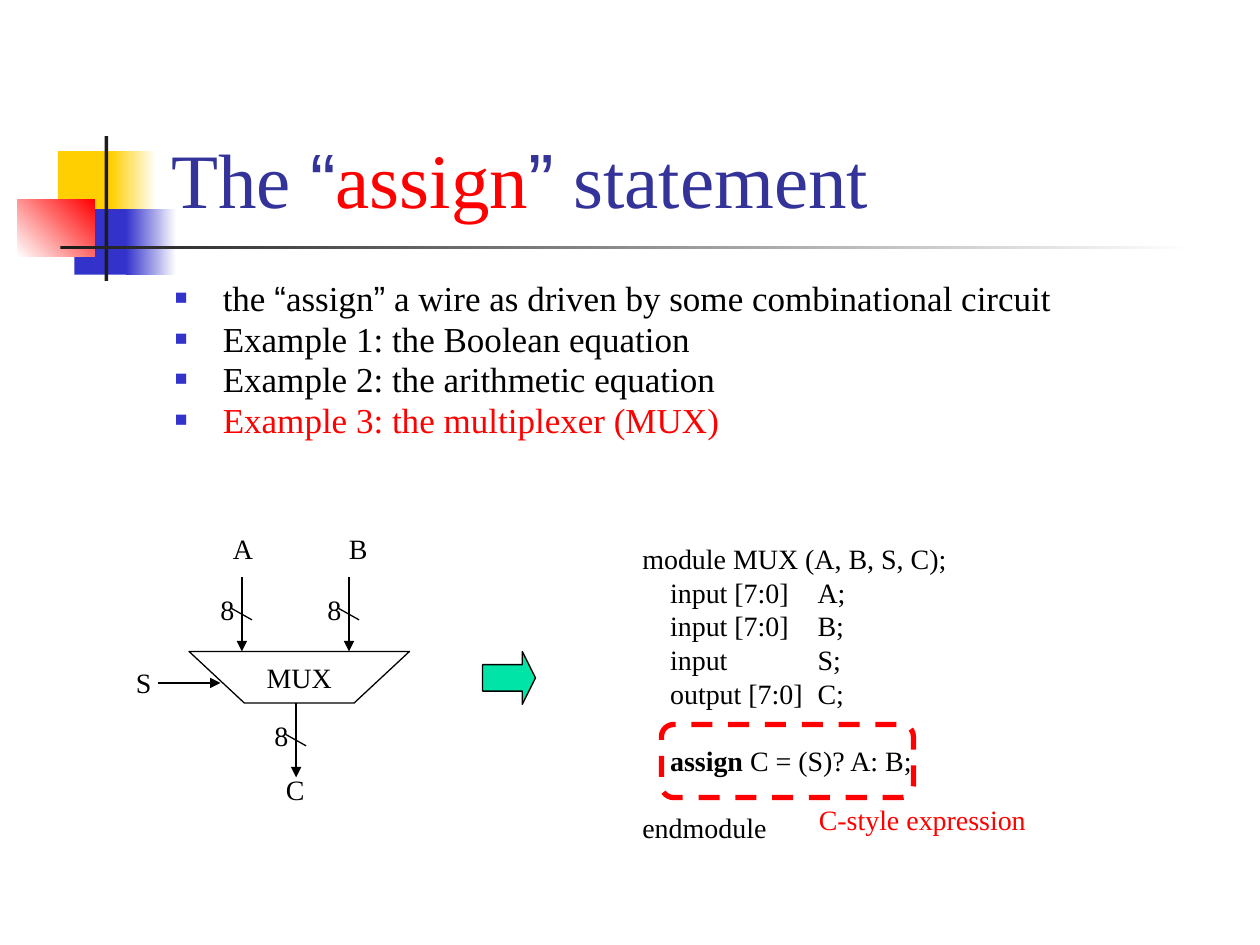
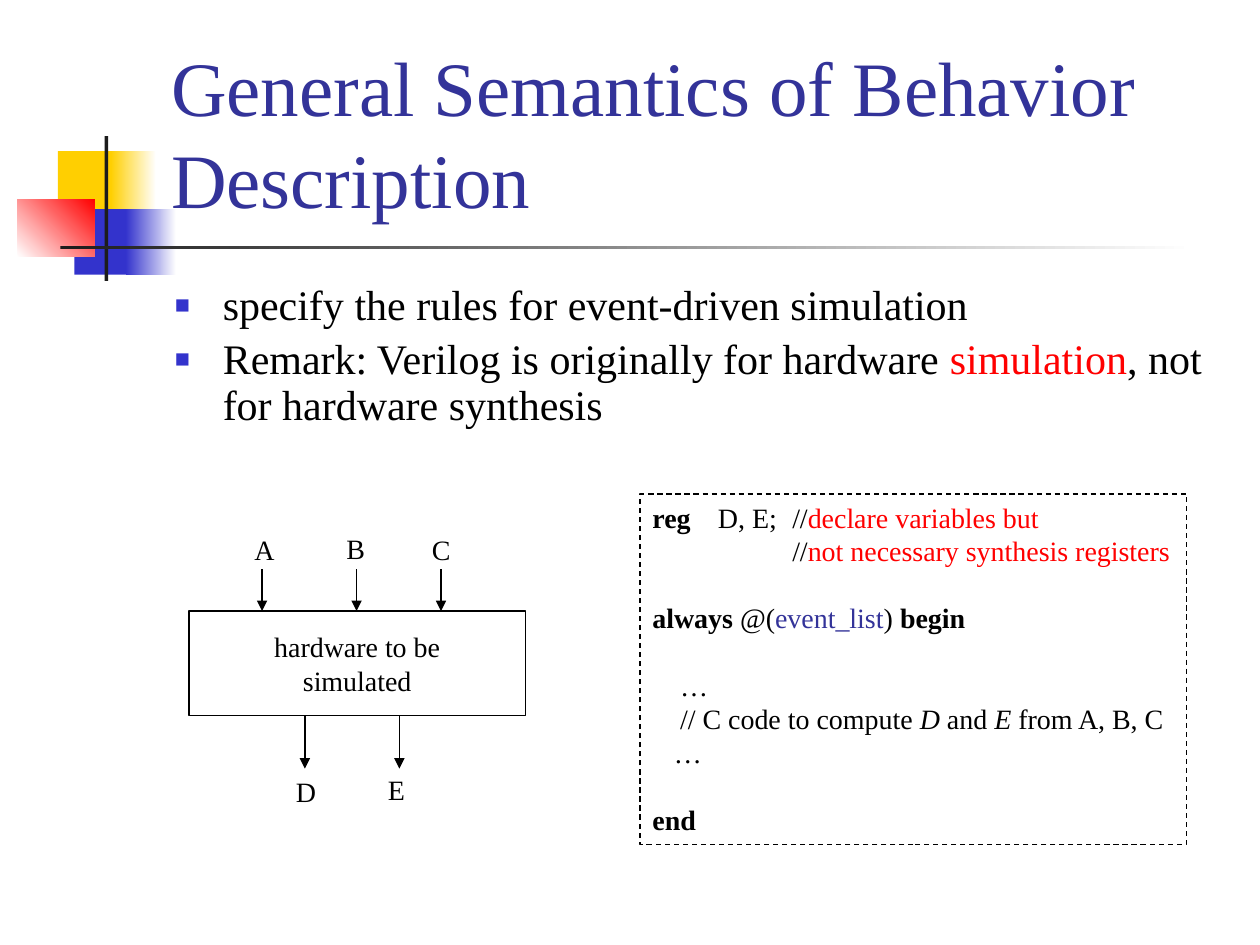
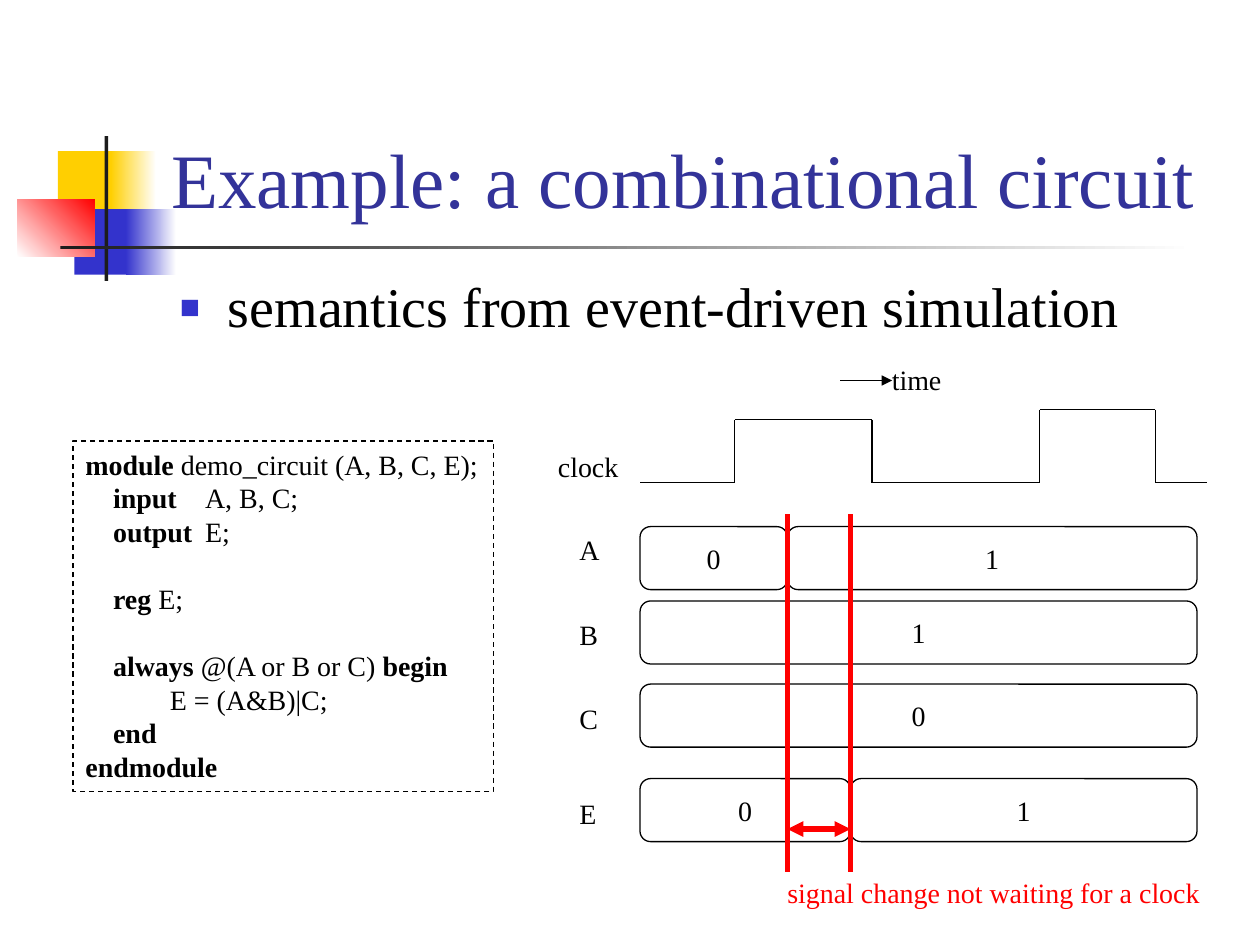
from dataclasses import dataclass
from typing import Optional, Sequence, Union

from lxml import etree
from pptx import Presentation
from pptx.dml.color import RGBColor
from pptx.enum import dml, shapes, text
from pptx.oxml.ns import qn
from pptx.util import Inches, Pt

SERIF, SANS = "Times New Roman", "Arial"
BLACK, WHITE, RED = "000000", "FFFFFF", "FF0000"
TITLE_BLUE, BULLET_BLUE = "333399", "3333CC"
YELLOW, DARK, GREEN = "FFCF01", "1C1C1C", "00E4A8"
LABEL_SIZE, CODE_PITCH = 16, 19.2
RECT = shapes.MSO_SHAPE.RECTANGLE
ROUNDED = shapes.MSO_SHAPE.ROUNDED_RECTANGLE


@dataclass(frozen=True)
class Run:
    text: str
    color: Optional[str] = None
    bold: bool = False
    italic: bool = False
    font: str = SERIF


@dataclass(frozen=True)
class Band:
    left: float
    top: float
    width: float
    height: float
    start: str
    end: Optional[str] = None
    angle: int = 0


@dataclass(frozen=True)
class Signal:
    name: str
    label_top: float
    top: float
    edges: tuple[float, ...]
    values: str


Line = Union[str, Run, Sequence[Union[str, Run]]]

BANDS = [
    Band(0.46, 1.2, 0.48, 0.52, YELLOW),
    Band(0.88, 1.2, 0.36, 0.52, YELLOW, WHITE),
    Band(0.59, 1.66, 0.46, 0.52, BULLET_BLUE),
    Band(1, 1.66, 0.4, 0.52, BULLET_BLUE, WHITE),
    Band(0.14, 1.58, 0.61, 0.46, WHITE, RED, 45),
    Band(0.83, 1.08, 0.03, 1.15, DARK),
    Band(0.48, 1.95, 9, 0.03, DARK, WHITE),
]
OPEN_QUOTE, CLOSE_QUOTE = Run("“", font=SANS), Run("”", font=SANS)


def rgb(color: str) -> RGBColor:
    return RGBColor.from_string(color)


def bold(words: str) -> Run:
    return Run(words, bold=True)


def red(words: str) -> Run:
    return Run(words, color=RED)


def add_child(parent, tag: str, **attributes: str):
    return etree.SubElement(parent, qn(tag), attributes)


# Text
def set_bullet(paragraph) -> None:
    properties = paragraph._p.get_or_add_pPr()
    properties.set("marL", str(Inches(0.38)))
    properties.set("indent", str(-Inches(0.38)))
    add_child(add_child(properties, "a:buClr"), "a:srgbClr", val=BULLET_BLUE)
    add_child(properties, "a:buSzPct", val="60000")
    add_child(properties, "a:buFont", typeface=SANS)
    add_child(properties, "a:buChar", char="■")


def set_tabs(paragraph, stops: Sequence[float]) -> None:
    tab_list = add_child(paragraph._p.get_or_add_pPr(), "a:tabLst")
    for stop in stops:
        add_child(tab_list, "a:tab", pos=str(Inches(stop)), algn="l")


def write(shape, lines: Sequence[Optional[Line]], *, size: float = LABEL_SIZE,
          color: str = BLACK, center: bool = False, anchor=text.MSO_ANCHOR.TOP,
          spacing=None, before: float = 0, bullets: bool = False,
          tabs: Sequence[float] = (), right_inset: float = 0.1) -> None:
    """Fill a shape with lines; None leaves a gap above the next line."""
    frame = shape.text_frame
    frame.word_wrap = True
    frame.vertical_anchor = anchor
    frame.margin_right = Inches(right_inset)
    paragraph, gap = frame.paragraphs[0], 0.0
    for index, line in enumerate(lines):
        if line is None:
            gap = CODE_PITCH
            continue
        if index:
            paragraph = frame.add_paragraph()
        paragraph.alignment = text.PP_ALIGN.CENTER if center else text.PP_ALIGN.LEFT
        paragraph.space_before = Pt(before + gap)
        gap = 0.0
        if spacing is not None:
            paragraph.line_spacing = spacing
        if bullets:
            set_bullet(paragraph)
        if tabs:
            set_tabs(paragraph, tabs)
        parts = [line] if isinstance(line, (str, Run)) else line
        for part in parts:
            part = Run(part) if isinstance(part, str) else part
            run = paragraph.add_run()
            run.text = part.text
            run.font.name, run.font.size = part.font, Pt(size)
            run.font.bold, run.font.italic = part.bold, part.italic
            run.font.color.rgb = rgb(part.color or color)


def add_text(slide, left: float, top: float, width: float, height: float,
             lines: Sequence[Optional[Line]], **style):
    box = slide.shapes.add_textbox(Inches(left), Inches(top),
                                   Inches(width), Inches(height))
    write(box, lines, **style)
    return box


def add_label(slide, left: float, top: float, words: str, width: float = 0.36,
              color: str = BLACK) -> None:
    add_text(slide, left, top, width, 0.37, [words], color=color, right_inset=0)


def add_code(shape, lines: Sequence[Optional[Line]], tabs: Sequence[float]) -> None:
    write(shape, lines, tabs=tabs, spacing=Pt(CODE_PITCH), right_inset=0)


# Shapes and lines
def style_shape(shape, fill: Optional[str], line: Optional[str],
                line_width: float = 0.75, dashed: bool = False) -> None:
    shape.shadow.inherit = False
    if fill:
        shape.fill.solid()
        shape.fill.fore_color.rgb = rgb(fill)
    else:
        shape.fill.background()
    if line:
        shape.line.color.rgb = rgb(line)
        shape.line.width = Pt(line_width)
        if dashed:
            shape.line.dash_style = dml.MSO_LINE.DASH
    else:
        shape.line.fill.background()


def add_shape(slide, kind, left: float, top: float, width: float, height: float,
              fill: Optional[str] = None, line: Optional[str] = BLACK, **style):
    shape = slide.shapes.add_shape(kind, Inches(left), Inches(top),
                                   Inches(width), Inches(height))
    style_shape(shape, fill, line, **style)
    return shape


def add_line(slide, x1: float, y1: float, x2: float, y2: float, *,
             color: str = BLACK, line_width: float = 0.75,
             head: bool = False, tail: bool = False) -> None:
    connector = slide.shapes.add_connector(
        shapes.MSO_CONNECTOR.STRAIGHT, Inches(x1), Inches(y1), Inches(x2), Inches(y2))
    connector.line.color.rgb = rgb(color)
    connector.line.width = Pt(line_width)
    outline = connector.line._get_or_add_ln()
    if head:
        add_child(outline, "a:headEnd", type="triangle")
    if tail:
        add_child(outline, "a:tailEnd", type="triangle")
    add_child(connector._element.spPr, "a:effectLst")


# Parts every slide shares
def start_slide(presentation, title: Line):
    slide = presentation.slides.add_slide(presentation.slide_layouts[6])
    for band in BANDS:
        shape = add_shape(slide, RECT, band.left, band.top, band.width, band.height,
                          band.start, None)
        if band.end:
            shape.fill.gradient()
            shape.fill.gradient_angle = band.angle
            for stop, color in zip(shape.fill.gradient_stops, (band.start, band.end)):
                stop.color.rgb = rgb(color)
    add_text(slide, 1.26, 0.23, 8.52, 1.6, [title], size=44, color=TITLE_BLUE,
             anchor=text.MSO_ANCHOR.BOTTOM)
    return slide


def add_bullets(slide, left: float, top: float, height: float,
                lines: Sequence[Line], size: float, spacing: float) -> None:
    add_text(slide, left, top, 8.5, height, lines, size=size, spacing=spacing,
             before=size * 0.2, bullets=True)


# Slide 1: multiplexer
def add_bus(slide, x: float, top: float) -> None:
    add_line(slide, x, top, x, top + 0.59, tail=True)
    add_line(slide, x - 0.08, top + 0.25, x + 0.08, top + 0.34)
    add_label(slide, x - 0.27, top + 0.07, "8")


def build_assign(presentation) -> None:
    slide = start_slide(presentation, [
        "The ", OPEN_QUOTE, red("assign"), CLOSE_QUOTE, " statement"])
    add_bullets(slide, 1.29, 2.21, 1.54, [
        ["the ", OPEN_QUOTE, "assign", CLOSE_QUOTE,
         " a wire as driven by some combinational circuit"],
        "Example 1: the Boolean equation",
        "Example 2: the arithmetic equation",
        red("Example 3: the multiplexer (MUX)"),
    ], 20, 0.8)

    code = slide.shapes.add_textbox(Inches(5), Inches(4.25), Inches(2.62), Inches(2.51))
    add_code(code, [
        "module MUX (A, B, S, C);",
        "\tinput [7:0]\tA;",
        "\tinput [7:0]\tB;",
        "\tinput\tS;",
        "\toutput [7:0]\tC;",
        None,
        ["\t", bold("assign"), " C = (S)? A: B;"],
        None,
        "endmodule",
    ], (0.22, 1.39))

    corners = [(1.5, 5.17), (1.94, 5.58), (2.81, 5.58), (3.25, 5.17)]
    points = [(Inches(x), Inches(y)) for x, y in corners]
    builder = slide.shapes.build_freeform(*points[0])
    builder.add_line_segments(points[1:], close=True)
    mux = builder.convert_to_shape()
    style_shape(mux, None, BLACK)
    write(mux, ["MUX"], center=True, anchor=text.MSO_ANCHOR.MIDDLE)

    for x, top in ((1.92, 4.58), (2.77, 4.58), (2.35, 5.58)):
        add_bus(slide, x, top)
    add_line(slide, 1.25, 5.42, 1.75, 5.42, tail=True)
    for name, left, top in (("A", 1.75, 4.17), ("B", 2.67, 4.17),
                            ("S", 0.98, 5.23), ("C", 2.17, 6.08)):
        add_label(slide, left, top, name)

    add_shape(slide, ROUNDED, 5.25, 5.75, 2, 0.58, line=RED, line_width=3, dashed=True)
    add_label(slide, 6.4, 6.32, "C-style expression", 1.85, RED)
    arrow = add_shape(slide, shapes.MSO_SHAPE.RIGHT_ARROW, 3.83, 5.17, 0.42, 0.42, GREEN)
    arrow.adjustments[1] = 0.25


# Slide 2: behavior description
def build_semantics(presentation) -> None:
    slide = start_slide(presentation, "General Semantics of Behavior Description")
    add_bullets(slide, 1.29, 2.21, 1.29, [
        "specify the rules for event-driven simulation",
        ["Remark: Verilog is originally for hardware ", red("simulation"),
         ", not for hardware synthesis"],
    ], 24, 0.9)

    hardware = add_shape(slide, RECT, 1.5, 4.85, 2.67, 0.83)
    write(hardware, ["hardware to be", "simulated"], center=True,
          anchor=text.MSO_ANCHOR.MIDDLE)
    for x in (2.08, 2.83, 3.5):
        add_line(slide, x, 4.52, x, 4.85, tail=True)
    for x in (2.42, 3.17):
        add_line(slide, x, 5.68, x, 6.1, tail=True)
    for name, left, top in (("A", 1.92, 4.18), ("B", 2.65, 4.17), ("C", 3.33, 4.18),
                            ("D", 2.25, 6.1), ("E", 2.98, 6.08)):
        add_label(slide, left, top, name)

    code = add_shape(slide, RECT, 5.08, 3.92, 4.34, 2.78, dashed=True)
    add_code(code, [
        [bold("reg"), "\tD, E;\t//", red("declare variables but")],
        ["\t\t\t\t//", red("not necessary synthesis registers")],
        None,
        [bold("always"), " @(", Run("event_list", TITLE_BLUE), ") ", bold("begin")],
        None,
        "\t\t…",
        ["\t\t// C code to compute ", Run("D", italic=True), " and ",
         Run("E ", italic=True), "from A, B, C"],
        "\t…",
        None,
        bold("end"),
    ], (0.17, 0.22, 0.52, 1.11))


# Slide 3: timing diagram
CLOCK = [(5.08, 3.83), (5.83, 3.83), (5.83, 3.33), (6.92, 3.33), (6.92, 3.83),
         (8.25, 3.83), (8.25, 3.25), (9.17, 3.25), (9.17, 3.83), (9.58, 3.83)]
SIGNALS = [
    Signal("A", 4.18, 4.18, (5.08, 6.25, 9.5), "01"),
    Signal("B", 4.85, 4.77, (5.08, 9.5), "1"),
    Signal("C", 5.52, 5.43, (5.08, 9.5), "0"),
    Signal("E", 6.27, 6.18, (5.08, 6.75, 9.5), "01"),
]


def build_circuit(presentation) -> None:
    slide = start_slide(presentation, "Example: a combinational circuit")
    add_bullets(slide, 1.33, 2.17, 0.63,
                ["semantics from event-driven simulation"], 32, 0.9)

    code = add_shape(slide, RECT, 0.58, 3.5, 3.34, 2.78, dashed=True)
    add_code(code, [
        [bold("module "), "demo_circuit (A, B, C, E);"],
        ["\t", bold("input"), "\tA, B, C;"],
        ["\t", bold("output"), "\tE;"],
        None,
        ["\t", bold("reg"), " E;"],
        None,
        ["\t", bold("always"), " @(A or B or C) ", bold("begin")],
        "\t\tE = (A&B)|C;",
        ["\t", bold("end")],
        bold("endmodule"),
    ], (0.22, 0.67, 0.95))

    add_label(slide, 4.33, 3.52, "clock", 0.68)
    for start, end in zip(CLOCK, CLOCK[1:]):
        add_line(slide, *start, *end)
    for signal in SIGNALS:
        add_label(slide, 4.5, signal.label_top, signal.name)
        for left, right, value in zip(signal.edges, signal.edges[1:], signal.values):
            box = add_shape(slide, ROUNDED, left, signal.top, right - left, 0.5)
            write(box, [value], center=True, anchor=text.MSO_ANCHOR.MIDDLE)
    add_line(slide, 6.67, 3.02, 7.08, 3.02, tail=True)
    add_label(slide, 6.98, 2.83, "time", 0.6)

    # Delay between the two signal changes
    for x in (6.25, 6.75):
        add_line(slide, x, 4.08, x, 6.92, color=RED, line_width=3)
    add_line(slide, 6.25, 6.58, 6.75, 6.58, color=RED, line_width=3,
             head=True, tail=True)
    add_label(slide, 6.15, 6.9, "signal change not waiting for a clock", 3.49, RED)


def main() -> None:
    presentation = Presentation()
    presentation.slide_width, presentation.slide_height = Inches(10), Inches(7.5)
    build_assign(presentation)
    build_semantics(presentation)
    build_circuit(presentation)
    presentation.save("out.pptx")


if __name__ == "__main__":
    main()
